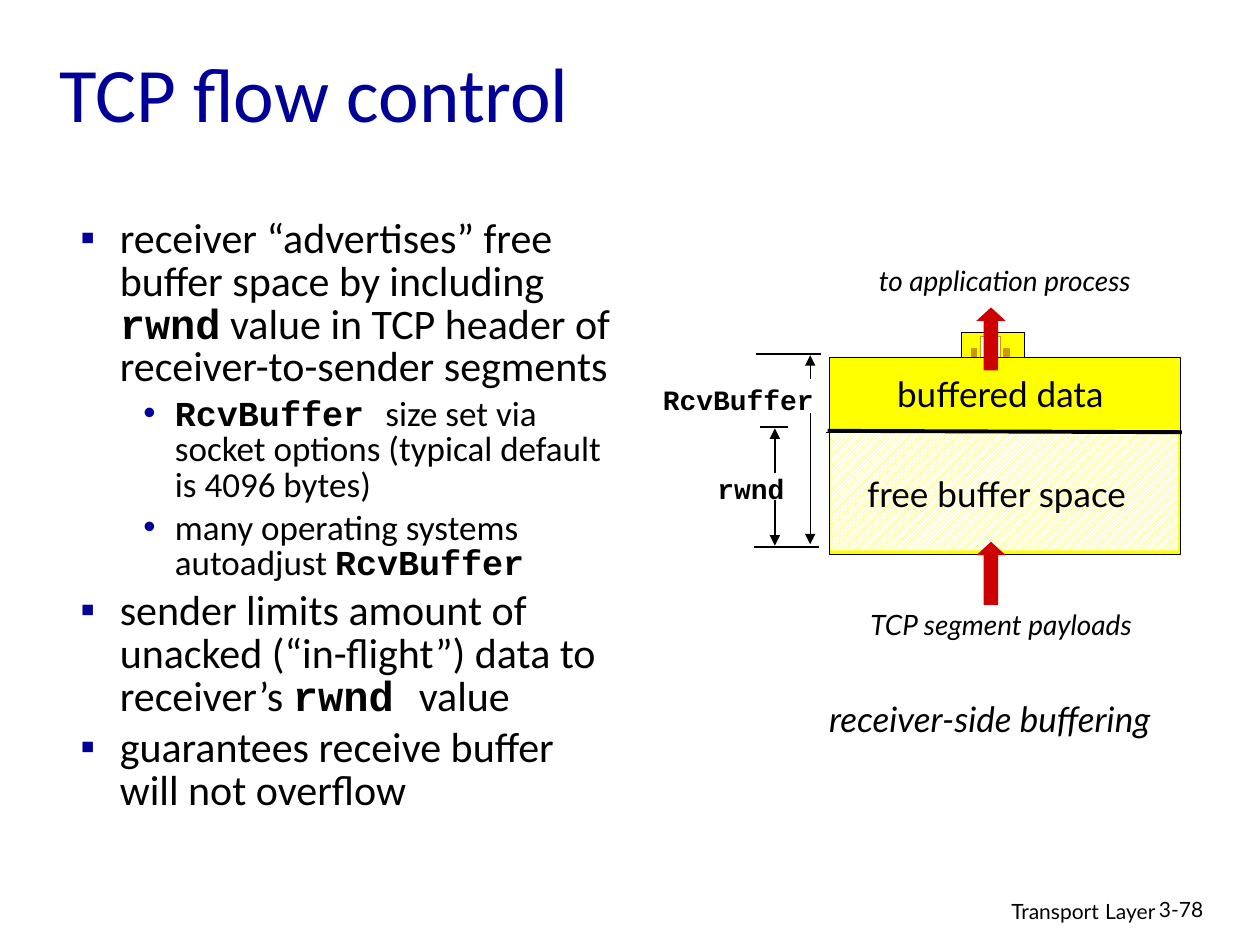
from lxml.etree import SubElement
from pptx import Presentation
from pptx.dml.color import RGBColor
from pptx.enum.dml import MSO_PATTERN
from pptx.enum.shapes import MSO_CONNECTOR, MSO_SHAPE
from pptx.enum.text import MSO_ANCHOR, MSO_AUTO_SIZE, PP_ALIGN
from pptx.oxml.ns import qn
from pptx.util import Pt

NAVY, BLACK, WHITE = "000099", "000000", "FFFFFF"
YELLOW, GOLD, RED = "FFFF00", "CC9900", "CC0000"
BODY, LABEL, CODE = "Calibri", "Lato", "Courier New"
LEFT, CENTER, RIGHT = PP_ALIGN.LEFT, PP_ALIGN.CENTER, PP_ALIGN.RIGHT
LEVELS = [
    dict(size=24, margin=22.5, hang=22.5, bullet="▪", before=4.8),
    dict(size=20, margin=54, hang=18, bullet="•", before=4),
]


def color(value):
    return RGBColor.from_string(value)


class Deck:
    def __init__(self, width, height):
        self.prs = Presentation()
        self.prs.slide_width, self.prs.slide_height = Pt(width), Pt(height)

    def add_slide(self):
        self.s = self.prs.slides.add_slide(self.prs.slide_layouts[5])

    def run(self, p, text, size, name=LABEL, fill=BLACK, **style):
        r = p.add_run()
        r.text = text
        for key, value in dict(size=Pt(size), name=name, **style).items():
            setattr(r.font, key, value)
        r.font.color.rgb = color(fill)

    def title(self, text, x, y, w, h):
        sp = self.s.shapes.title
        for key, value in dict(left=x, top=y, width=w, height=h).items():
            setattr(sp, key, Pt(value))
        tf = sp.text_frame
        tf.vertical_anchor, tf.auto_size = MSO_ANCHOR.MIDDLE, MSO_AUTO_SIZE.NONE
        p = tf.paragraphs[0]
        p.alignment = LEFT
        self.run(p, text, 44, BODY, NAVY)

    def text(self, runs, x, y, w, h, align=CENTER, wrap=False):
        tf = self.s.shapes.add_textbox(Pt(x), Pt(y), Pt(w), Pt(h)).text_frame
        tf.word_wrap = wrap
        tf.auto_size = MSO_AUTO_SIZE.NONE if wrap else MSO_AUTO_SIZE.SHAPE_TO_FIT_TEXT
        p = tf.paragraphs[0]
        p.alignment = align
        for text, style in runs:
            self.run(p, text, **style)

    def bullets(self, items, x, y, w, h):
        tf = self.s.shapes.add_textbox(Pt(x), Pt(y), Pt(w), Pt(h)).text_frame
        tf.word_wrap = True
        for i, (level, parts) in enumerate(items):
            p = tf.add_paragraph() if i else tf.paragraphs[0]
            fmt = LEVELS[level]
            p.level, p.line_spacing = level, 0.85
            p.space_before = Pt(fmt["before"] if i else 0)
            pPr = p._p.get_or_add_pPr()
            pPr.set("marL", str(Pt(fmt["margin"])))
            pPr.set("indent", str(-Pt(fmt["hang"])))
            SubElement(SubElement(pPr, qn("a:buClr")), qn("a:srgbClr"), val=NAVY)
            SubElement(pPr, qn("a:buFont"), typeface="Arial")
            SubElement(pPr, qn("a:buChar"), char=fmt["bullet"])
            for text, name in parts:
                self.run(p, text, fmt["size"], name, bold=name == CODE)

    def shape(self, kind, x, y, w, h, fill, line=None, pattern=None):
        sp = self.s.shapes.add_shape(kind, Pt(x), Pt(y), Pt(w), Pt(h))
        sp.shadow.inherit = False
        if pattern:
            sp.fill.patterned()
            sp.fill.pattern = pattern
            sp.fill.fore_color.rgb, sp.fill.back_color.rgb = color(fill), color(WHITE)
        else:
            sp.fill.solid()
            sp.fill.fore_color.rgb = color(fill)
        if line:
            sp.line.color.rgb, sp.line.width = color(line), Pt(0.75)
        else:
            sp.line.fill.background()
        return sp

    def rect(self, *args, **fmt):
        return self.shape(MSO_SHAPE.RECTANGLE, *args, **fmt)

    def up_arrow(self, x, y):
        sp = self.shape(MSO_SHAPE.UP_ARROW, x, y, 16.6, 36, RED)
        sp.adjustments[1] = 0.46

    def line(self, x1, y1, x2, y2, width=0.75, arrow=False):
        cxn = self.s.shapes.add_connector(
            MSO_CONNECTOR.STRAIGHT, Pt(x1), Pt(y1), Pt(x2), Pt(y2))
        cxn.line.color.rgb, cxn.line.width = color(BLACK), Pt(width)
        if arrow:
            SubElement(cxn.line._get_or_add_ln(), qn("a:tailEnd"), type="triangle")
        SubElement(cxn._element.spPr, qn("a:effectLst"))


def main():
    deck = Deck(720, 540)
    deck.add_slide()
    small = dict(size=12)
    deck.text([("Transport", small), (" ", dict(size=14)), ("Layer", small)],
              439.2, 507.6, 228.2, 22.3, RIGHT, True)
    deck.text([("3-78", small)], 655.2, 509, 53.3, 21.6, LEFT, True)
    deck.title("TCP flow control", 26.6, 13.7, 612, 77)

    deck.rect(549.4, 190, 36, 16.6, YELLOW, BLACK)
    deck.rect(560.2, 192.2, 11.5, 12.2, WHITE, GOLD)
    for x in (573.8, 555.1):
        deck.rect(x, 199.4, 2.9, 4.3, GOLD, GOLD)
    deck.rect(473.8, 204.5, 200.9, 112.3, YELLOW, BLACK)
    deck.line(472.3, 247, 674.6, 247)
    deck.rect(474.5, 245.5, 198.7, 69.1, YELLOW, pattern=MSO_PATTERN.DARK_UPWARD_DIAGONAL)
    for y in (175.7, 309.6):
        deck.up_arrow(558, y)
    deck.line(473, 246.2, 675.4, 247, 2.25)

    for y, x1, x2 in ((312.5, 430.6, 468), (244.1, 434.2, 450), (202.3, 432, 469.4)):
        deck.line(x1, y, x2, y, 1.5)
    for x, start, tip in ((442.8, 270, 244.8), (442.8, 285.8, 311.8),
                          (463, 216.7, 203), (463, 236.2, 311)):
        deck.line(x, start, x, tip, arrow=True)

    plain = dict(size=20)
    italic = dict(size=16, italic=True)
    code = dict(size=16, name=CODE, bold=True)
    for text, style, box in (
        ("buffered data", plain, (504.7, 209.5, 133.9, 31)),
        ("free buffer space", plain, (487.4, 266.4, 164.2, 31)),
        ("rwnd", code, (402.5, 265.7, 53.3, 26.6)),
        ("RcvBuffer", code, (371.5, 215.3, 100.8, 26.6)),
        ("TCP segment payloads", italic, (484.6, 343.4, 175, 26.6)),
        ("to application process", italic, (490.3, 146.9, 167.8, 26.6)),
        ("receiver-side buffering", dict(size=20, italic=True), (459.4, 395.3, 212.4, 31)),
    ):
        deck.text([(text, style)], *box)

    deck.bullets([
        (0, [("receiver “advertises” free buffer space by including ", BODY),
             ("rwnd", CODE),
             (" value in TCP header of receiver-to-sender segments", BODY)]),
        (1, [("RcvBuffer ", CODE),
             ("size set via socket options (typical default is 4096 bytes)", BODY)]),
        (1, [("many operating systems autoadjust ", BODY), ("RcvBuffer", CODE)]),
        (0, [("sender limits amount of unacked (“in-flight”) data to receiver’s ", BODY),
             ("rwnd ", CODE), ("value", BODY)]),
        (0, [("guarantees receive buffer will not overflow", BODY)]),
    ], 38.9, 121.7, 319, 386.6)
    deck.prs.save("out.pptx")


if __name__ == "__main__":
    main()
